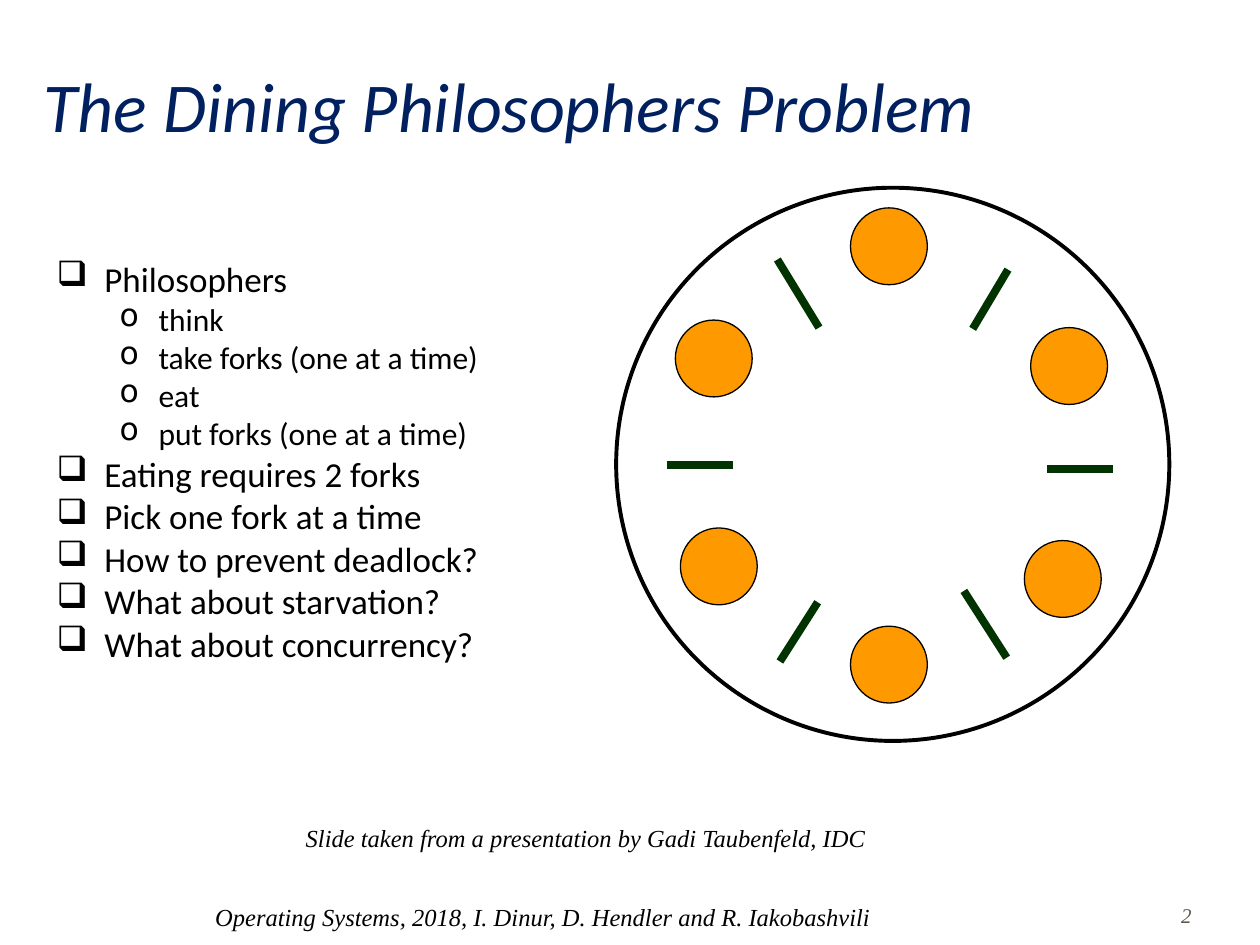
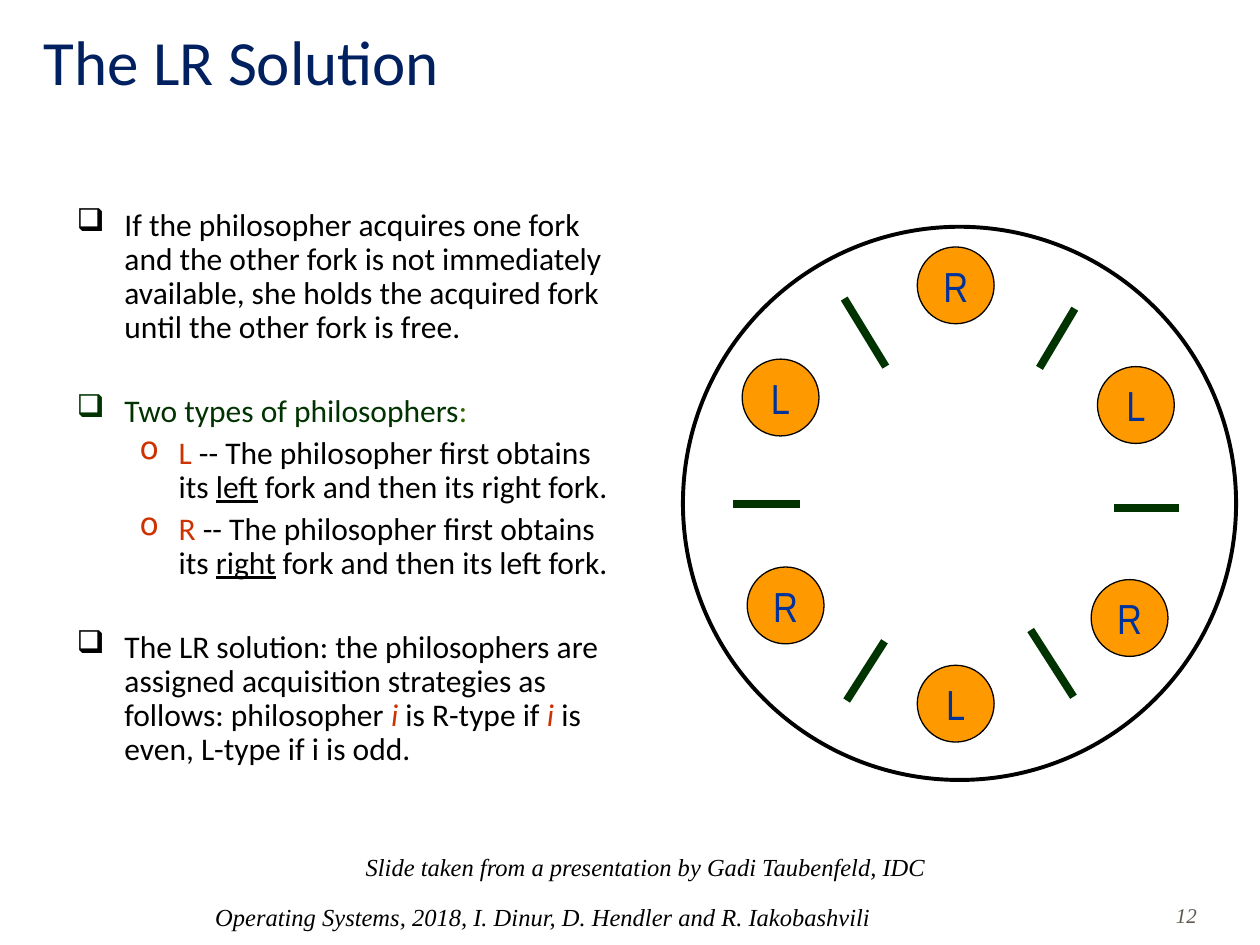
"""Build two slides on the dining philosophers problem and its LR solution."""
import lxml.etree
import pptx
import pptx.dml.color
import pptx.enum.shapes
import pptx.enum.text
import pptx.oxml.ns
import pptx.util

COLORS = {
    "title": "002060", "text": "000000", "paper": "FFFFFF", "seat": "FF9900",
    "fork": "003300", "colon": "336600", "accent": "CC3300",
    "label": "003399", "number": "5E574E",
}
BODY_FONT, LABEL_FONT, FOOTER_FONT = "Calibri", "Arial Narrow", "Times New Roman"
CREDIT = "Slide taken from a presentation by Gadi Taubenfeld, IDC"
COURSE = "Operating Systems, 2018, I. Dinur, D. Hendler and R. Iakobashvili"

TABLE_SIZE, SEAT_SIZE = 4.39, 0.61
SEATS = [(1.86, 0.16), (3.29, 1.11), (3.24, 2.8), (1.86, 3.48), (0.51, 2.7), (0.47, 1.05)]
FORKS = [
    (1.28, 0.57, 1.61, 1.11), (3.11, 0.65, 2.83, 1.12), (3.42, 2.23, 3.94, 2.23),
    (2.76, 3.2, 3.1, 3.73), (1.6, 3.29, 1.3, 3.76), (0.4, 2.2, 0.93, 2.2),
]
LEVELS = [("❑", 0.38, 0.38), ("o", 0.81, 0.31)]

ALIGN = pptx.enum.text.PP_ALIGN
ANCHOR = pptx.enum.text.MSO_ANCHOR


def rgb(name):
    """Return the named colour."""
    return pptx.dml.color.RGBColor.from_string(COLORS[name])


def inches(*lengths):
    """Convert several lengths."""
    return [pptx.util.Inches(length) for length in lengths]


def style_font(font, face, size, color="text", italic=False, underline=False):
    """Set the look of a font."""
    font.name, font.size = face, pptx.util.Pt(size)
    font.color.rgb = rgb(color)
    font.italic, font.underline = italic, underline


def add_text(slide, box, text, face, size, color="text", italic=False,
             align=ALIGN.LEFT, anchor=ANCHOR.TOP):
    """Add a wrapped box holding one line of text and return it."""
    line = slide.shapes.add_textbox(*inches(*box))
    frame = line.text_frame
    frame.word_wrap, frame.vertical_anchor = True, anchor
    frame.text = text
    paragraph = frame.paragraphs[0]
    paragraph.alignment = align
    style_font(paragraph.runs[0].font, face, size, color, italic)
    return line


def add_footer(slide, number, credit_box):
    """Add the credit, the course line and the slide number."""
    credit = add_text(slide, credit_box, CREDIT, FOOTER_FONT, 14, italic=True,
                      align=ALIGN.CENTER)
    credit.fill.solid()
    credit.fill.fore_color.rgb = rgb("paper")
    add_text(slide, (1.61, 7.11, 6.53, 0.39), COURSE, FOOTER_FONT, 14, italic=True)
    add_text(slide, (9.17, 7.11, 0.49, 0.32), str(number), FOOTER_FONT, 12, "number",
             True, ALIGN.CENTER)


def set_bullet(paragraph, level, color):
    """Give a paragraph the bullet and indent of its level."""
    symbol, margin, hanging = LEVELS[level]
    properties = paragraph._p.get_or_add_pPr()
    properties.set("marL", str(pptx.util.Inches(margin)))
    properties.set("indent", str(-pptx.util.Inches(hanging)))
    qn = pptx.oxml.ns.qn
    bullet_color = lxml.etree.SubElement(properties, qn("a:buClr"))
    lxml.etree.SubElement(bullet_color, qn("a:srgbClr")).set("val", COLORS[color])
    lxml.etree.SubElement(properties, qn("a:buChar")).set("char", symbol)


def add_bullets(slide, box, items, sizes, gaps, spacing):
    """Add bullets; an item is level, bullet colour, extra gap and styled runs."""
    frame = slide.shapes.add_textbox(*inches(*box)).text_frame
    frame.word_wrap = True
    for index, (level, color, extra_gap, runs) in enumerate(items):
        paragraph = frame.add_paragraph() if index else frame.paragraphs[0]
        paragraph.level, paragraph.line_spacing = level, spacing
        if index:
            paragraph.space_before = pptx.util.Pt(gaps[level] + extra_gap)
        set_bullet(paragraph, level, color)
        for text, style in runs:
            run = paragraph.add_run()
            run.text = text
            style_font(run.font, BODY_FONT, sizes[level], **style)


def add_circle(slide, left, top, size, line_width, fill=None, label=""):
    """Add an outlined circle, filled and labelled on request."""
    circle = slide.shapes.add_shape(pptx.enum.shapes.MSO_SHAPE.OVAL,
                                    *inches(left, top, size, size))
    circle.shadow.inherit = False
    circle.line.color.rgb = rgb("text")
    circle.line.width = pptx.util.Pt(line_width)
    if fill:
        circle.fill.solid()
        circle.fill.fore_color.rgb = rgb(fill)
    else:
        circle.fill.background()
    if label:
        frame = circle.text_frame
        frame.margin_left = frame.margin_right = 0
        frame.margin_top = frame.margin_bottom = 0
        frame.vertical_anchor = ANCHOR.MIDDLE
        frame.text = label
        frame.paragraphs[0].alignment = ALIGN.CENTER
        style_font(frame.paragraphs[0].runs[0].font, LABEL_FONT, 24, "label")


def add_fork(slide, start_x, start_y, end_x, end_y):
    """Add a fork as a thick line."""
    fork = slide.shapes.add_connector(pptx.enum.shapes.MSO_CONNECTOR.STRAIGHT,
                                      *inches(start_x, start_y, end_x, end_y))
    fork.line.color.rgb = rgb("fork")
    fork.line.width = pptx.util.Pt(4.5)
    lxml.etree.SubElement(fork._element.spPr, pptx.oxml.ns.qn("a:effectLst"))


def add_dining_table(slide, left, top, labels):
    """Draw the round table with its seats, clockwise from the top, and forks."""
    add_circle(slide, left, top, TABLE_SIZE, 2.25)
    for (x, y), label in zip(SEATS, labels):
        add_circle(slide, left + x, top + y, SEAT_SIZE, 0.75, "seat", label)
    for x1, y1, x2, y2 in FORKS:
        add_fork(slide, left + x1, top + y1, left + x2, top + y2)


def add_problem_slide(deck):
    """Build the slide that states the problem."""
    slide = deck.slides.add_slide(deck.slide_layouts[6])
    add_text(slide, (0.25, 0.41, 9.45, 0.84), "The Dining Philosophers Problem",
             BODY_FONT, 40, "title", True, anchor=ANCHOR.MIDDLE)
    points = [
        (0, "Philosophers"), (1, "think"), (1, "take forks (one at a time)"),
        (1, "eat"), (1, "put forks (one at a time)"),
        (0, "Eating requires 2 forks"), (0, "Pick one fork at a time"),
        (0, "How to prevent deadlock?"), (0, "What about starvation?"),
        (0, "What about concurrency?"),
    ]
    items = [(level, "text", 0, [(text, {})]) for level, text in points]
    add_bullets(slide, (0.35, 2.06, 5.12, 3.42), items, (20, 18), (5, 4.5), 0.8)
    add_dining_table(slide, 4.89, 1.49, [""] * len(SEATS))
    add_footer(slide, 2, (1.33, 6.48, 6.64, 0.34))


def strategy(letter, first, second):
    """Return the bullet for one type of philosopher."""
    return (1, "accent", 0, [
        (letter, {"color": "accent"}),
        (" -- The philosopher first obtains its ", {}),
        (first, {"underline": True}),
        (f" fork and then its {second} fork.", {}),
    ])


def add_solution_slide(deck):
    """Build the slide that explains the LR solution."""
    slide = deck.slides.add_slide(deck.slide_layouts[6])
    add_text(slide, (0.25, 0.13, 9.45, 1.3), "The LR Solution", BODY_FONT, 36, "title")
    index = ("i", {"color": "accent", "italic": True})
    section_gap = 24
    items = [
        (0, "text", 0, [("If the philosopher acquires one fork and the other fork is "
                         "not immediately available, she holds the acquired fork "
                         "until the other fork is free.", {})]),
        (0, "fork", section_gap, [("Two types of philosophers", {"color": "fork"}),
                                  (":", {"color": "colon"})]),
        strategy("L", "left", "right"),
        strategy("R", "right", "left"),
        (0, "text", section_gap, [
            ("The LR solution: the philosophers are assigned acquisition strategies "
             "as follows: philosopher ", {}),
            index, (" is R-type if ", {}), index,
            (" is even, L-type if i is odd.", {})]),
    ]
    add_bullets(slide, (0.51, 1.61, 4.5, 5.45), items, (18, 18), (4.5, 4.5), 0.9)
    add_dining_table(slide, 5.42, 1.8, "RLRLRL")
    add_footer(slide, 12, (0.48, 6.71, 9.29, 0.34))


def main():
    """Build and save the deck."""
    deck = pptx.Presentation()
    deck.slide_width, deck.slide_height = inches(10, 7.5)
    add_problem_slide(deck)
    add_solution_slide(deck)
    deck.save("out.pptx")


if __name__ == "__main__":
    main()
